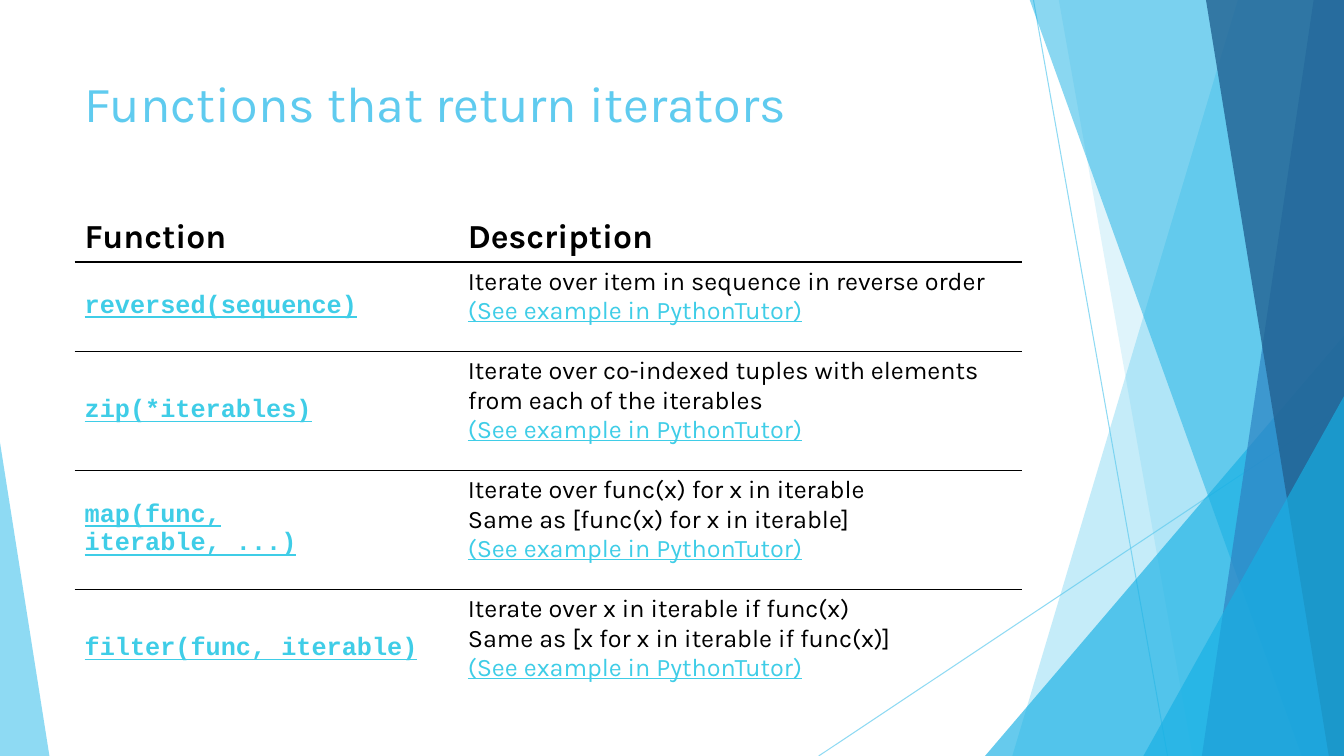
from dataclasses import dataclass

from lxml import etree
from pptx import Presentation
from pptx.dml.color import RGBColor
from pptx.enum.shapes import MSO_CONNECTOR, MSO_SHAPE
from pptx.enum.text import MSO_ANCHOR, MSO_AUTO_SIZE, PP_ALIGN
from pptx.oxml.ns import qn
from pptx.util import Inches, Pt

STRAIGHT = MSO_CONNECTOR.STRAIGHT
TRIANGLE = MSO_SHAPE.ISOSCELES_TRIANGLE
TOP, MIDDLE = MSO_ANCHOR.TOP, MSO_ANCHOR.MIDDLE
LEFT = PP_ALIGN.LEFT
FIXED = MSO_AUTO_SIZE.NONE


@dataclass(frozen=True)
class Theme:
    sky: str = "5FCBEF"
    cyan: str = "17B0E4"
    blue: str = "2E83C3"
    navy: str = "226292"
    link: str = "3FCDE7"
    ink: str = "000000"
    font: str = "Karla"
    code: str = "Courier New"
    title: int = 36
    head: int = 24
    body: int = 18


THEME = Theme()
WIDE, HIGH, EDGE = 13.33, 7.5, -0.01


def write(para, text, size=THEME.body, font=THEME.font, color=THEME.ink,
          bold=False, under=False):
    for row, line in enumerate(text.split("\n")):
        if row:
            para.add_line_break()
        run = para.add_run()
        run.text = line
        face = run.font
        face.size, face.name = Pt(size), font
        face.bold, face.underline = bold, under
        face.color.rgb = RGBColor.from_string(color)


def fade(shape, alpha):
    for tint in shape._element.spPr.iter(qn("a:srgbClr")):
        etree.SubElement(tint, qn("a:alpha")).set("val", str(alpha * 1000))


class Deck:
    def __init__(self, theme):
        self.theme = theme
        self.file = Presentation()
        self.file.slide_width = Inches(WIDE)
        self.file.slide_height = Inches(HIGH)
        self.slide = self.file.slides.add_slide(self.file.slide_layouts[5])
        self.shapes = self.slide.shapes

    def paint(self, shape, color, alpha):
        shape.shadow.inherit = False
        shape.fill.solid()
        shape.fill.fore_color.rgb = RGBColor.from_string(color)
        shape.line.fill.background()
        fade(shape, alpha)

    def line(self, *ends):
        line = self.shapes.add_connector(STRAIGHT, *map(Inches, ends))
        line.line.width = Pt(0.75)
        line.line.color.rgb = RGBColor.from_string(self.theme.sky)
        fade(line, 70)
        etree.SubElement(line._element.spPr, qn("a:effectLst"))

    def band(self, top, base, color, alpha):
        spots = [(Inches(x), Inches(y)) for x, y in
                 ((top, EDGE), (WIDE, EDGE), (WIDE, HIGH), (base, HIGH))]
        form = self.shapes.build_freeform(*spots[0])
        form.add_line_segments(spots[1:], close=True)
        self.paint(form.convert_to_shape(), color, alpha)

    def wedge(self, left, top, width, tip, color, alpha):
        box = map(Inches, (left, top, width, HIGH - top))
        shape = self.shapes.add_shape(TRIANGLE, *box)
        shape.adjustments[0] = tip
        self.paint(shape, color, alpha)

    def title(self, text, *box):
        title = self.shapes.title
        title.left, title.top, title.width, title.height = map(Inches, box)
        frame = title.text_frame
        frame.word_wrap, frame.auto_size = True, FIXED
        frame.vertical_anchor = TOP
        para = frame.paragraphs[0]
        para.alignment = LEFT
        write(para, text, self.theme.title, color=self.theme.sky)
        tree = self.shapes._spTree
        tree.append(title._element)

    def rule(self, cell, top, base):
        props = cell._tc.get_or_add_tcPr()
        for side, shown in (("L", False), ("R", False), ("T", top), ("B", base)):
            edge = etree.SubElement(props, qn("a:ln" + side), w=str(Pt(1)))
            if shown:
                fill = etree.SubElement(edge, qn("a:solidFill"))
                etree.SubElement(fill, qn("a:srgbClr"), val=self.theme.ink)
            else:
                etree.SubElement(edge, qn("a:noFill"))
        cell.fill.background()
        cell.vertical_anchor = MIDDLE

    def table(self, left, top, cols, heads, rows, highs):
        look = self.theme
        box = map(Inches, (left, top, sum(cols), sum(highs)))
        grid = self.shapes.add_table(len(highs), len(cols), *box).table
        grid.first_row = grid.horz_banding = False
        for col, width in zip(grid.columns, cols):
            col.width = Inches(width)
        last = len(highs) - 1
        for row, high in enumerate(highs):
            grid.rows[row].height = Inches(high)
            for cell in grid.rows[row].cells:
                self.rule(cell, row > 0, row < last)
        for col, text in enumerate(heads):
            para = grid.cell(0, col).text_frame.paragraphs[0]
            write(para, text, look.head, bold=True)
        for row, (call, about) in enumerate(rows, 1):
            name, note = grid.cell(row, 0), grid.cell(row, 1)
            write(name.text_frame.paragraphs[0], call, font=look.code,
                  color=look.link, bold=True, under=True)
            note.margin_bottom = Inches(0.25)
            para = note.text_frame.paragraphs[0]
            write(para, about)
            para.add_line_break()
            write(para, "(See example in PythonTutor)", color=look.link,
                  under=True)


def main():
    deck = Deck(THEME)
    deck.line(10.25, 0, 11.58, HIGH)
    deck.line(WIDE, 4.03, 8.12, HIGH)
    deck.band(12.28, 10.04, THEME.sky, 36)
    deck.band(10.5, 11.83, THEME.sky, 20)
    deck.wedge(9.77, 3.33, 3.56, 1, THEME.cyan, 66)
    deck.band(10.21, 12.91, THEME.cyan, 50)
    deck.band(13.03, 11.92, THEME.blue, 70)
    deck.band(11.96, 13.18, THEME.navy, 80)
    deck.wedge(11.34, 3.93, 1.99, 1, THEME.cyan, 66)
    deck.wedge(0, 4.39, 0.49, 0, THEME.sky, 70)
    deck.title("Functions that return iterators", 0.74, 0.67, 9.4, 1.44)
    rows = (
        ("reversed(sequence)",
         "Iterate over item in sequence in reverse order"),
        ("zip(*iterables)",
         "Iterate over co-indexed tuples with elements from each of the iterables"),
        ("map(func,\niterable, ...)",
         "Iterate over func(x) for x in iterable\n"
         "Same as [func(x) for x in iterable]"),
        ("filter(func, iterable)",
         "Iterate over x in iterable if func(x)\n"
         "Same as [x for x in iterable if func(x)]"),
    )
    deck.table(0.74, 2.11, (3.8, 5.6), ("Function", "Description"), rows,
               (0.49, 0.88, 1.18, 1.18, 1.18))
    deck.file.save("out.pptx")


if __name__ == "__main__":
    main()
